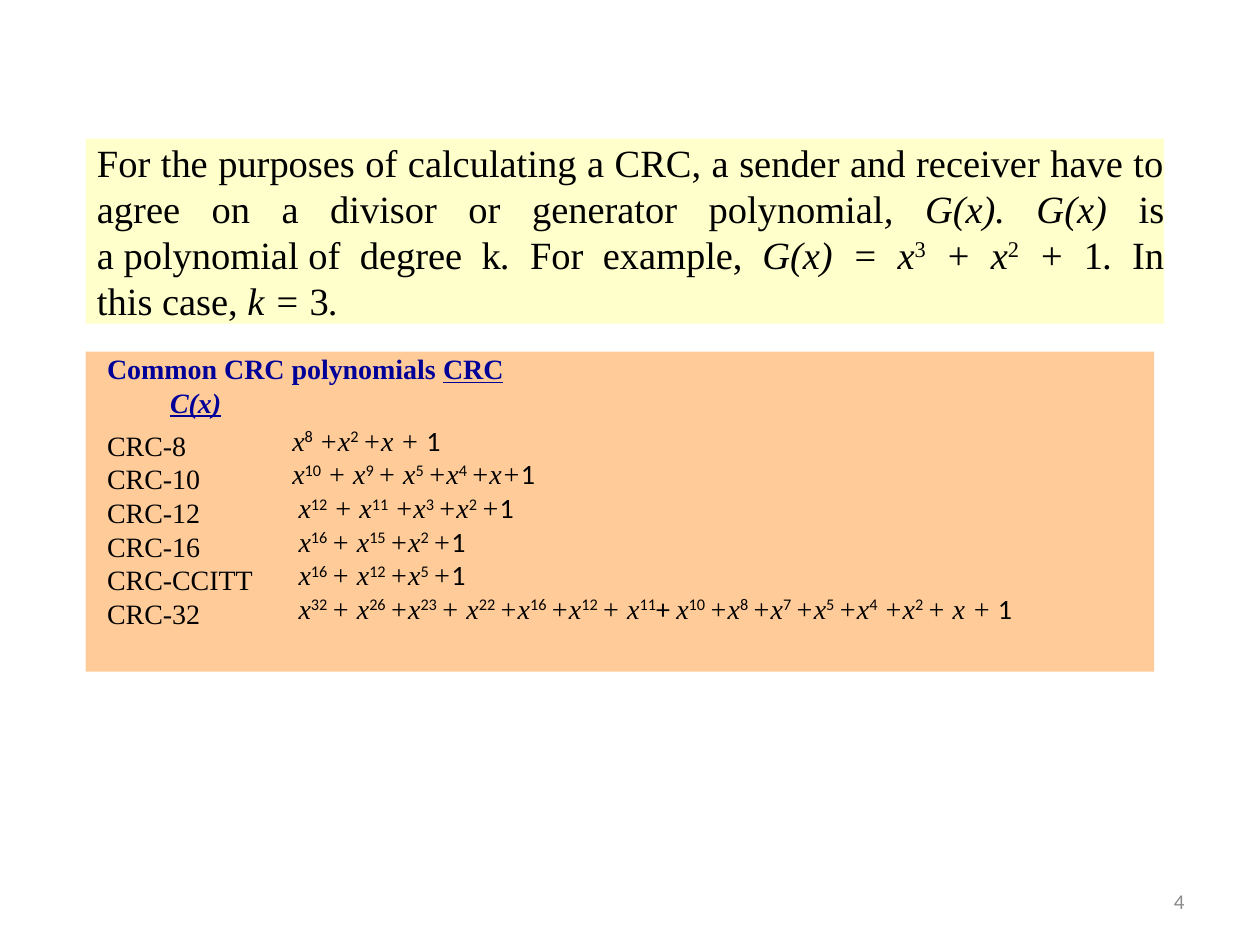
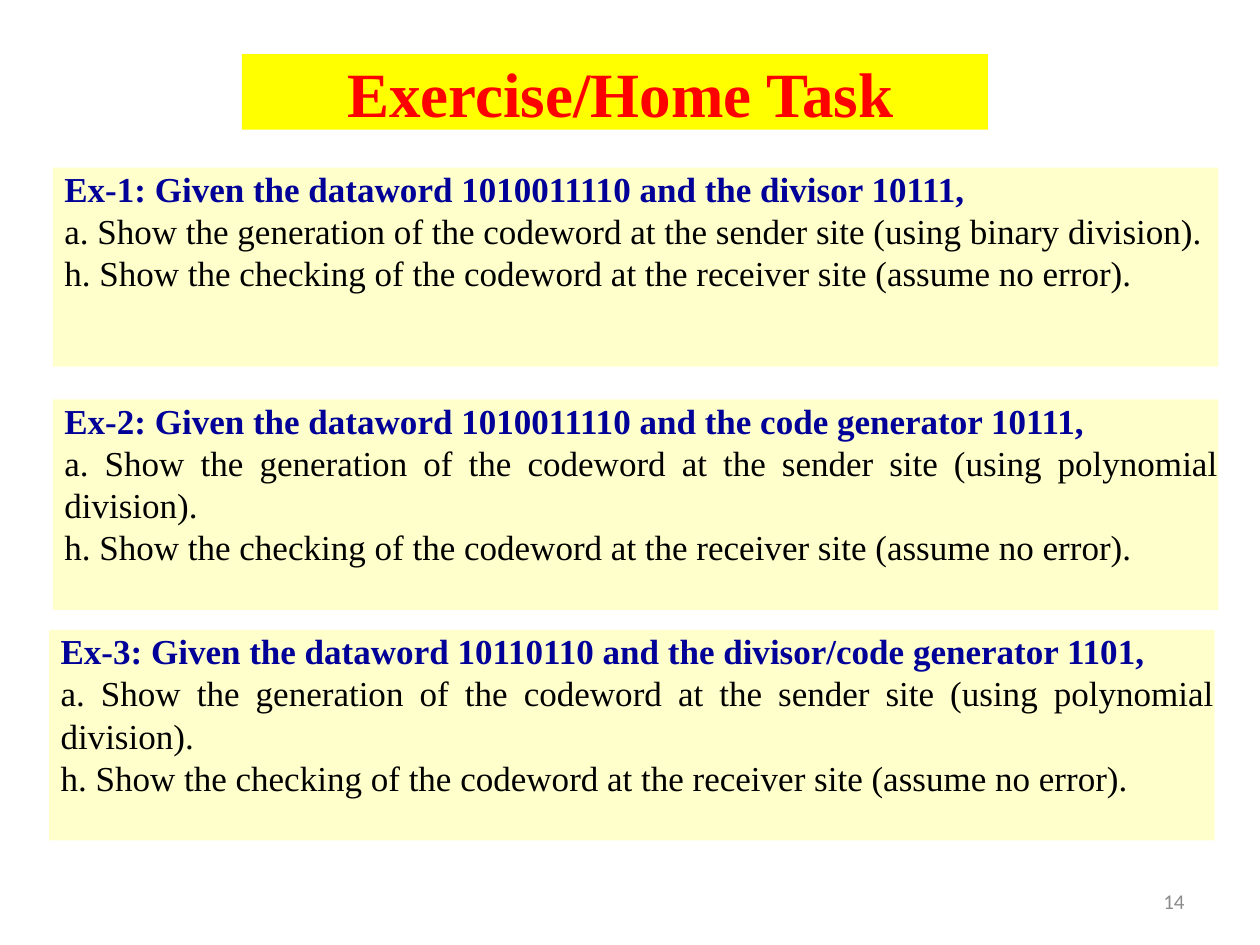
from dataclasses import dataclass

from lxml import etree
from pptx import Presentation
from pptx.dml.color import RGBColor
from pptx.enum.shapes import MSO_SHAPE
from pptx.enum.text import MSO_ANCHOR, PP_ALIGN
from pptx.oxml.ns import qn
from pptx.util import Inches, Pt

RECTANGLE = MSO_SHAPE.RECTANGLE
LEFT, CENTER, RIGHT, JUSTIFY = PP_ALIGN.LEFT, PP_ALIGN.CENTER, PP_ALIGN.RIGHT, PP_ALIGN.JUSTIFY
TOP, MIDDLE = MSO_ANCHOR.TOP, MSO_ANCHOR.MIDDLE


@dataclass(frozen=True)
class Theme:
    serif: str = "Times New Roman"
    sans: str = "Calibri"
    black: str = "000000"
    navy: str = "000099"
    red: str = "FF0000"
    grey: str = "8B8B8B"
    cream: str = "FFFFCC"
    peach: str = "FFCC99"
    yellow: str = "FFFF00"
    title_size: int = 36
    intro_size: int = 22
    exercise_size: int = 20
    list_size: int = 16
    number_size: int = 12
    panel_indent: float = 0.09


THEME = Theme()

# Content. Marks: *bold*, _italic_, ^superscript^, |underline|, ~ no-break space
INTRO = (
    "For the purposes of calculating a CRC, a sender and receiver have to agree on a divisor "
    "or generator polynomial_, G(x). G(x) _is a~polynomial~of degree k_. _For example, "
    "_G(x) = x_^3^ _+ x_^2^ _+ _1_. _In this~case,~_k~=~_3_._"
)
CRC_HEADING = ["*Common CRC polynomials |CRC|*", "|\t*_C(x)_*|"]
CRC_POLYNOMIALS = [  # name, indent of the polynomial, polynomial
    ("CRC-8", 1.49, "_x_^8^ _+x_^2 ^_+x + _1"),
    ("CRC-10", 1.49, "_x_^10^ _+ x_^9 ^_+ x_^5 ^_+x_^4 ^_+x+_1"),
    ("CRC-12", 1.54, "_x_^12^ _+ x_^11^ _+x_^3 ^_+x_^2 ^_+_1"),
    ("CRC-16", 1.54, "_x_^16 ^_+ x_^15 ^_+x_^2 ^_+_1"),
    ("CRC-CCITT", 1.54, "_x_^16 ^_+ x_^12 ^_+x_^5 ^_+_1"),
    ("CRC-32", 1.54, "_x_^32 ^_+ x_^26 ^_+x_^23 ^_+ x_^22 ^_+x_^16 ^_+x_^12 ^_+ x_^11^+ "
                     "_x_^10 ^_+x_^8 ^_+x_^7 ^_+x_^5 ^_+x_^4^ _+x_^2 ^_+ x + _1"),
]
TASK_TITLE = "*Exercise/Home Task*"
SENDER_TASK = "a. Show the generation of the codeword at the sender site (using {} division)."
RECEIVER_TASK = "h. Show the checking of the codeword at the receiver site (assume no error)."
EXERCISES = [  # left, top, height, given, kind of division
    (0.42, 1.33, 1.58, "Ex-1: Given the dataword 1010011110 and the divisor 10111,", "binary"),
    (0.42, 3.17, 1.67, "Ex-2: Given the dataword 1010011110 and the code generator 10111,",
     "polynomial"),
    (0.39, 5.0, 1.67, "Ex-3: Given the dataword 10110110 and the divisor/code generator 1101,",
     "polynomial"),
]


def split_marks(text):
    """Yield each stretch of text with the set of marks open around it."""
    marks, stretch = set(), ""
    for char in text.replace("~", chr(160)):
        if char not in "*_^|":
            stretch += char
            continue
        if stretch:
            yield stretch, set(marks)
        marks ^= {char}
        stretch = ""
    if stretch:
        yield stretch, marks


def add_text(frame, text, *, size, color=THEME.black, font=THEME.serif, italic_font=None,
             align=LEFT, indent=0, tab=None):
    """Add one marked-up paragraph, filling the empty first paragraph if there is one."""
    first = frame.paragraphs[0]
    para = frame.add_paragraph() if first.runs else first
    para.alignment = align
    properties = para._p.get_or_add_pPr()
    properties.set("marL", str(Inches(indent)))
    properties.set("indent", "0")
    if tab:
        tabs = etree.SubElement(properties, qn("a:tabLst"))
        etree.SubElement(tabs, qn("a:tab"), pos=str(Inches(tab)), algn="l")
    for stretch, marks in split_marks(text):
        span = para.add_run()
        span.text = stretch
        span.font.size = Pt(size)
        span.font.name = italic_font if italic_font and "_" in marks else font
        span.font.color.rgb = RGBColor.from_string(color)
        span.font.bold = "*" in marks
        span.font.italic = "_" in marks
        span.font.underline = "|" in marks
        if "^" in marks:
            span._r.get_or_add_rPr().set("baseline", "30000")


def prepare_frame(frame, anchor=TOP, margins=(0, 0)):
    frame.word_wrap = True
    frame.vertical_anchor = anchor
    frame.margin_left = frame.margin_right = Inches(margins[0])
    frame.margin_top = frame.margin_bottom = Inches(margins[1])
    return frame


def add_panel(page, place, fill):
    panel = page.shapes.add_shape(RECTANGLE, *map(Inches, place))
    panel.shadow.inherit = False
    panel.fill.solid()
    panel.fill.fore_color.rgb = RGBColor.from_string(fill)
    panel.line.fill.background()
    return prepare_frame(panel.text_frame)


def add_box(page, place, **layout):
    return prepare_frame(page.shapes.add_textbox(*map(Inches, place)).text_frame, **layout)


def add_page(deck, number):
    page = deck.slides.add_slide(deck.slide_layouts[6])
    box = add_box(page, (7.17, 6.95, 2.33, 0.4), anchor=MIDDLE, margins=(0.1, 0.05))
    add_text(box, str(number), size=THEME.number_size, color=THEME.grey, font=THEME.sans,
             align=RIGHT)
    return page


def build_polynomials(deck):
    page = add_page(deck, 4)
    add_panel(page, (0.68, 2.79, 8.48, 2.54), THEME.peach)

    # Heading and the two columns
    heading = add_box(page, (0.85, 2.79, 3.3, 0.53))
    for line in CRC_HEADING:
        add_text(heading, line, size=THEME.list_size, color=THEME.navy, tab=1.49)
    names = add_box(page, (0.85, 3.4, 1.3, 1.86))
    polynomials = add_box(page, (0.83, 3.36, 9, 1.86))
    for name, indent, polynomial in CRC_POLYNOMIALS:
        add_text(names, name, size=THEME.list_size)
        add_text(polynomials, polynomial, size=THEME.list_size, font=THEME.sans,
                 italic_font=THEME.serif, indent=indent)

    # Definition
    intro = add_panel(page, (0.68, 1.1, 8.56, 1.47), THEME.cream)
    add_text(intro, INTRO, size=THEME.intro_size, align=JUSTIFY, indent=THEME.panel_indent)


def build_exercises(deck):
    page = add_page(deck, 14)
    title = add_panel(page, (1.92, 0.43, 5.92, 0.6), THEME.yellow)
    add_text(title, TASK_TITLE, size=THEME.title_size, color=THEME.red, align=CENTER,
             indent=THEME.panel_indent)
    for left, top, height, given, division in EXERCISES:
        panel = add_panel(page, (left, top, 9.25, height), THEME.cream)
        lines = [(f"*{given}*", THEME.navy), (SENDER_TASK.format(division), THEME.black),
                 (RECEIVER_TASK, THEME.black)]
        for text, color in lines:
            add_text(panel, text, size=THEME.exercise_size, color=color, align=JUSTIFY,
                     indent=THEME.panel_indent)


def main():
    deck = Presentation()
    deck.slide_width, deck.slide_height = Inches(10), Inches(7.5)
    build_polynomials(deck)
    build_exercises(deck)
    deck.save("out.pptx")


if __name__ == "__main__":
    main()
